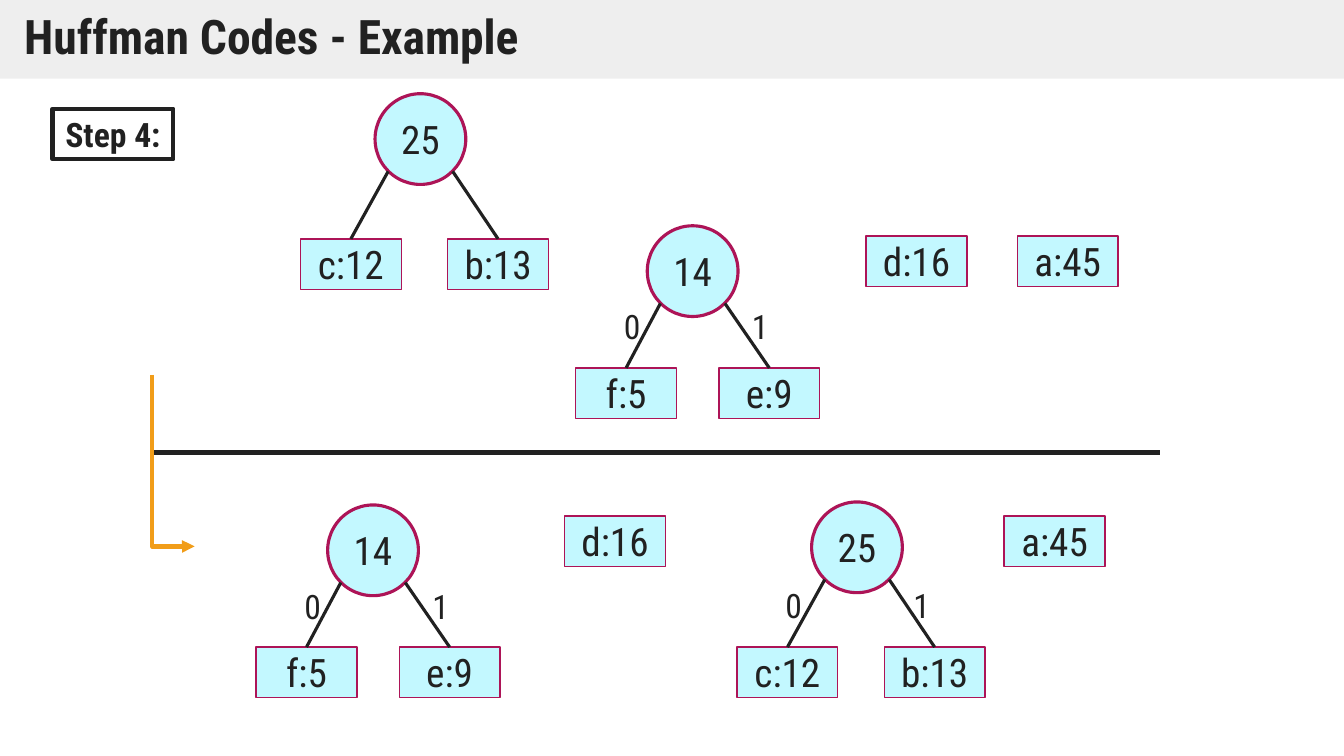
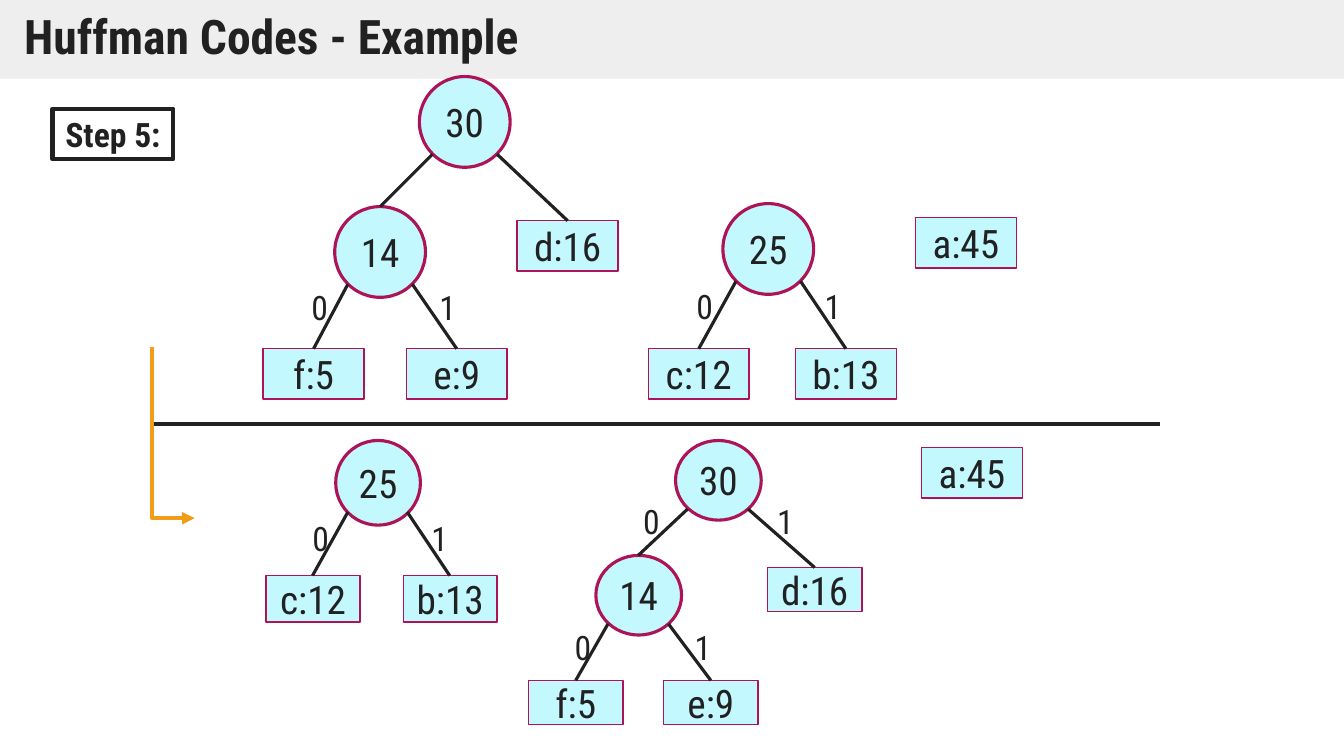
from dataclasses import dataclass, replace
from math import sqrt
from typing import Any, Optional

from lxml import etree
from pptx import Presentation
from pptx import util as u
from pptx.dml.color import RGBColor
from pptx.enum import shapes, text
from pptx.oxml import ns

PX = 9144
PAGE_WIDTH, PAGE_HEIGHT = 1333, 750
INK = RGBColor(0x21, 0x21, 0x21)
BAND = RGBColor(0xDF, 0xDF, 0xDF)
CYAN = RGBColor(0xC3, 0xF8, 0xFF)
BERRY = RGBColor(0xAD, 0x14, 0x57)
ORANGE = RGBColor(0xF1, 0x9D, 0x19)

FONT = "Roboto Condensed"
TITLE_FONT = {"name": FONT, "size": u.Pt(34), "bold": True}
STEP_FONT = {"name": FONT, "size": u.Pt(24), "bold": True}
NODE_FONT = {"name": FONT, "size": u.Pt(28), "bold": False}
BIT_FONT = {"name": FONT, "size": u.Pt(24), "bold": False}
TITLE_FRAME = {
    "margin_left": u.Emu(24 * PX),
    "margin_right": u.Emu(24 * PX),
    "margin_top": u.Emu(12 * PX),
    "margin_bottom": u.Emu(12 * PX),
    "vertical_anchor": text.MSO_ANCHOR.MIDDLE,
    "word_wrap": True,
    "auto_size": text.MSO_AUTO_SIZE.NONE,
}
SHAPE_FRAME = {"vertical_anchor": text.MSO_ANCHOR.MIDDLE, "word_wrap": True}
BIT_FRAME = {"word_wrap": True, "auto_size": text.MSO_AUTO_SIZE.SHAPE_TO_FIT_TEXT}
CENTRED = {"alignment": text.PP_ALIGN.CENTER}
LEFT = {"alignment": text.PP_ALIGN.LEFT}
TITLE_PARAGRAPH = {**LEFT, "line_spacing": 0.9}

CIRCLE = 90
LEAF_WIDTH, LEAF_HEIGHT = 100, 50
BIT_WIDTH, BIT_HEIGHT = 40, 50
RIM_INSET = (1 - 1 / sqrt(2)) / 2
DIVIDER_LEFT, DIVIDER_RIGHT = 151, 1151


@dataclass(frozen=True)
class Bits:
    zero_left: int
    one_left: int
    top: int


@dataclass(frozen=True)
class Node:
    label: str
    dx: int = 0
    dy: int = 0
    children: tuple["Node", ...] = ()
    bits: Optional[Bits] = None


@dataclass(frozen=True)
class Placement:
    node: Node
    left: int
    top: int
    scale_x: float = 1
    scale_y: float = 1


@dataclass(frozen=True)
class Step:
    label: str
    divider_top: int
    placements: tuple[Placement, ...]


LEAF_A = Node("a:45")
LEAF_D = Node("d:16")
TREE_14 = Node("14", children=(Node("f:5", -71, 141), Node("e:9", 71, 141)),
               bits=Bits(-33, 94, 75))
TREE_25 = Node("25", children=(Node("c:12", -74, 144), Node("b:13", 72, 144)),
               bits=Bits(-36, 91, 77))
TREE_30 = Node("30", children=(replace(TREE_14, dx=-84, dy=129),
                               replace(LEAF_D, dx=97, dy=143)),
               bits=Bits(-45, 97, 63))

STEPS = (
    Step("Step 4: ", 449, (
        Placement(replace(TREE_25, bits=None), 372, 93),
        Placement(TREE_14, 642, 224),
        Placement(LEAF_D, 859, 234),
        Placement(LEAF_A, 1009, 234),
        Placement(TREE_14, 325, 501),
        Placement(LEAF_D, 560, 512),
        Placement(TREE_25, 805, 498),
        Placement(LEAF_A, 996, 512),
    )),
    Step("Step 5: ", 421, (
        Placement(replace(TREE_30, bits=None), 416, 76),
        Placement(TREE_25, 717, 202),
        Placement(LEAF_A, 908, 216),
        Placement(TREE_25, 333, 437, 0.93, 0.93),
        Placement(TREE_30, 670, 437, 0.94, 0.88),
        Placement(LEAF_A, 914, 444),
    )),
)


def emu(*lengths: float) -> list[u.Emu]:
    return [u.Emu(round(length) * PX) for length in lengths]


def apply(target: Any, values: dict[str, Any]) -> None:
    for name, value in values.items():
        setattr(target, name, value)


def write(box: Any, words: str, font: dict[str, Any], frame: dict[str, Any],
          paragraph: dict[str, Any]) -> None:
    apply(box.text_frame, frame)
    para = box.text_frame.paragraphs[0]
    apply(para, paragraph)
    span = para.add_run()
    span.text = words
    apply(span.font, font)
    span.font.color.rgb = INK


def add_title(page: Any) -> None:
    title = page.shapes.title
    title.left, title.top, title.width, title.height = emu(0, 0, PAGE_WIDTH, 78)
    title.fill.solid()
    title.fill.fore_color.rgb = BAND
    colour = title.element.spPr.find(ns.qn("a:solidFill"))[0]
    etree.SubElement(colour, ns.qn("a:alpha"), val="50000")
    write(title, "Huffman Codes - Example", TITLE_FONT, TITLE_FRAME, TITLE_PARAGRAPH)


def add_box(page: Any, kind: Any, place: tuple[float, ...], words: str,
            font: dict[str, Any], line: RGBColor, weight: float,
            fill: Optional[RGBColor] = None) -> None:
    box = page.shapes.add_shape(kind, *emu(*place))
    box.shadow.inherit = False
    if fill is None:
        box.fill.background()
    else:
        box.fill.solid()
        box.fill.fore_color.rgb = fill
    box.line.color.rgb = line
    box.line.width = u.Pt(weight)
    write(box, words, font, SHAPE_FRAME, CENTRED)


def add_line(page: Any, kind: Any, ends: tuple[float, ...], colour: RGBColor,
             weight: float) -> Any:
    line = page.shapes.add_connector(kind, *emu(*ends))
    line.line.color.rgb = colour
    line.line.width = u.Pt(weight)
    etree.SubElement(line.element.spPr, ns.qn("a:effectLst"))
    return line


def add_bit(page: Any, digit: str, left: float, top: float, width: float) -> None:
    box = page.shapes.add_textbox(*emu(left, top, width, BIT_HEIGHT))
    write(box, digit, BIT_FONT, BIT_FRAME, LEFT)


def add_tree(page: Any, spot: Placement) -> None:
    node, left, top = spot.node, spot.left, spot.top
    scale_x, scale_y = spot.scale_x, spot.scale_y
    if not node.children:
        place = (left, top, LEAF_WIDTH * scale_x, LEAF_HEIGHT * scale_y)
        add_box(page, shapes.MSO_SHAPE.RECTANGLE, place, node.label, NODE_FONT,
                BERRY, 1, CYAN)
        return
    width, height = CIRCLE * scale_x, CIRCLE * scale_y
    add_box(page, shapes.MSO_SHAPE.OVAL, (left, top, width, height), node.label,
            NODE_FONT, BERRY, 2.25, CYAN)
    for child, rim in zip(node.children, (RIM_INSET, 1 - RIM_INSET)):
        child_left = round(left + child.dx * scale_x)
        child_top = round(top + child.dy * scale_y)
        child_width = (CIRCLE if child.children else LEAF_WIDTH) * scale_x
        add_tree(page, replace(spot, node=child, left=child_left, top=child_top))
        ends = (left + rim * width, top + (1 - RIM_INSET) * height,
                child_left + child_width / 2, child_top)
        add_line(page, shapes.MSO_CONNECTOR.STRAIGHT, ends, INK, 2.25)
    if node.bits:
        for digit, offset in (("0", node.bits.zero_left), ("1", node.bits.one_left)):
            add_bit(page, digit, left + offset * scale_x,
                    top + node.bits.top * scale_y, BIT_WIDTH * scale_x)


def add_divider(page: Any, top: int) -> None:
    add_line(page, shapes.MSO_CONNECTOR.STRAIGHT,
             (DIVIDER_LEFT, top, DIVIDER_RIGHT, top), INK, 3)
    arrow = add_line(page, shapes.MSO_CONNECTOR.ELBOW,
                     (87, top - 13, 257, top + 29), ORANGE, 3)
    properties = arrow.element.spPr
    frame = properties.find(ns.qn("a:xfrm"))
    frame.set("rot", "16200000")
    frame.set("flipH", "1")
    guides = properties.find(ns.qn("a:prstGeom")).find(ns.qn("a:avLst"))
    etree.SubElement(guides, ns.qn("a:gd"), name="adj1", fmla="val 100100")
    etree.SubElement(properties.find(ns.qn("a:ln")), ns.qn("a:tailEnd"), type="triangle")


def add_step(deck: Any, step: Step) -> None:
    page = deck.slides.add_slide(deck.slide_layouts.get_by_name("Title Only"))
    add_title(page)
    add_box(page, shapes.MSO_SHAPE.RECTANGLE, (52, 108, 120, 50), step.label,
            STEP_FONT, INK, 3)
    add_divider(page, step.divider_top)
    for spot in step.placements:
        add_tree(page, spot)


def main() -> None:
    deck = Presentation()
    deck.slide_width, deck.slide_height = emu(PAGE_WIDTH, PAGE_HEIGHT)
    for step in STEPS:
        add_step(deck, step)
    deck.save("out.pptx")


if __name__ == "__main__":
    main()
